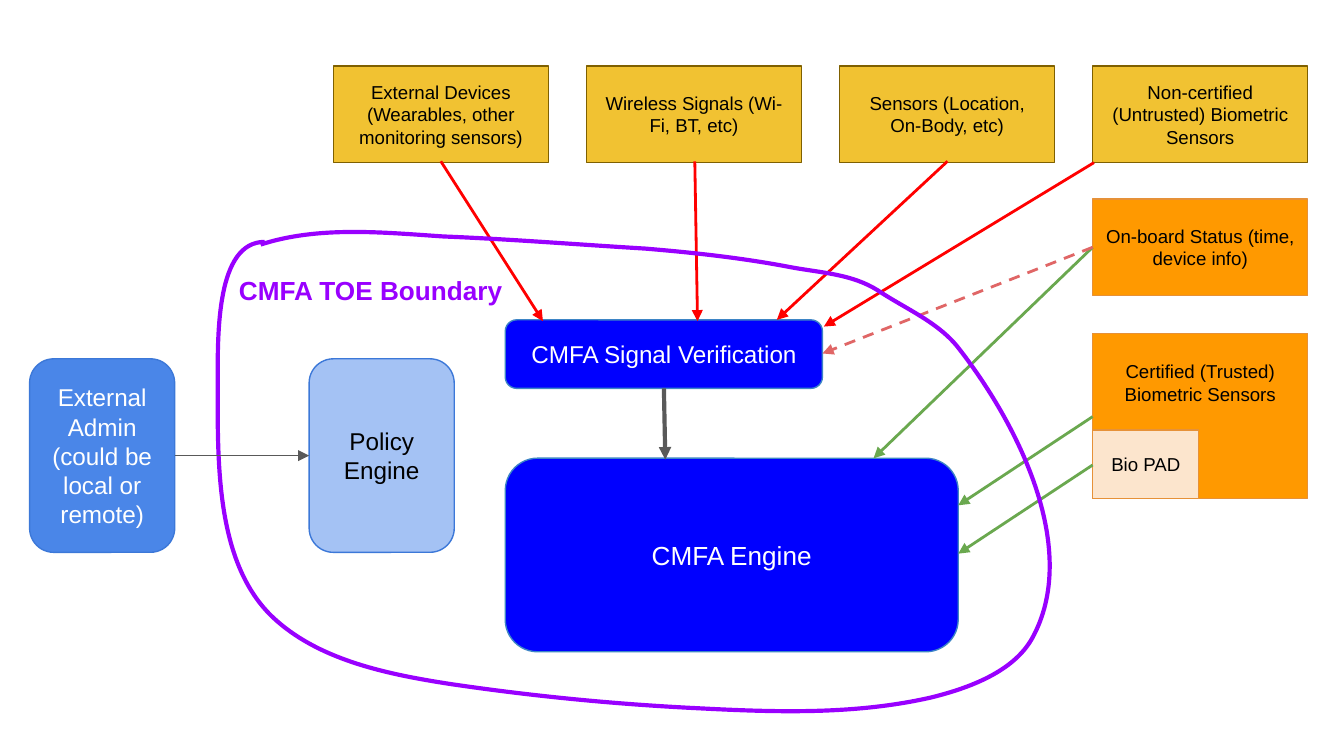
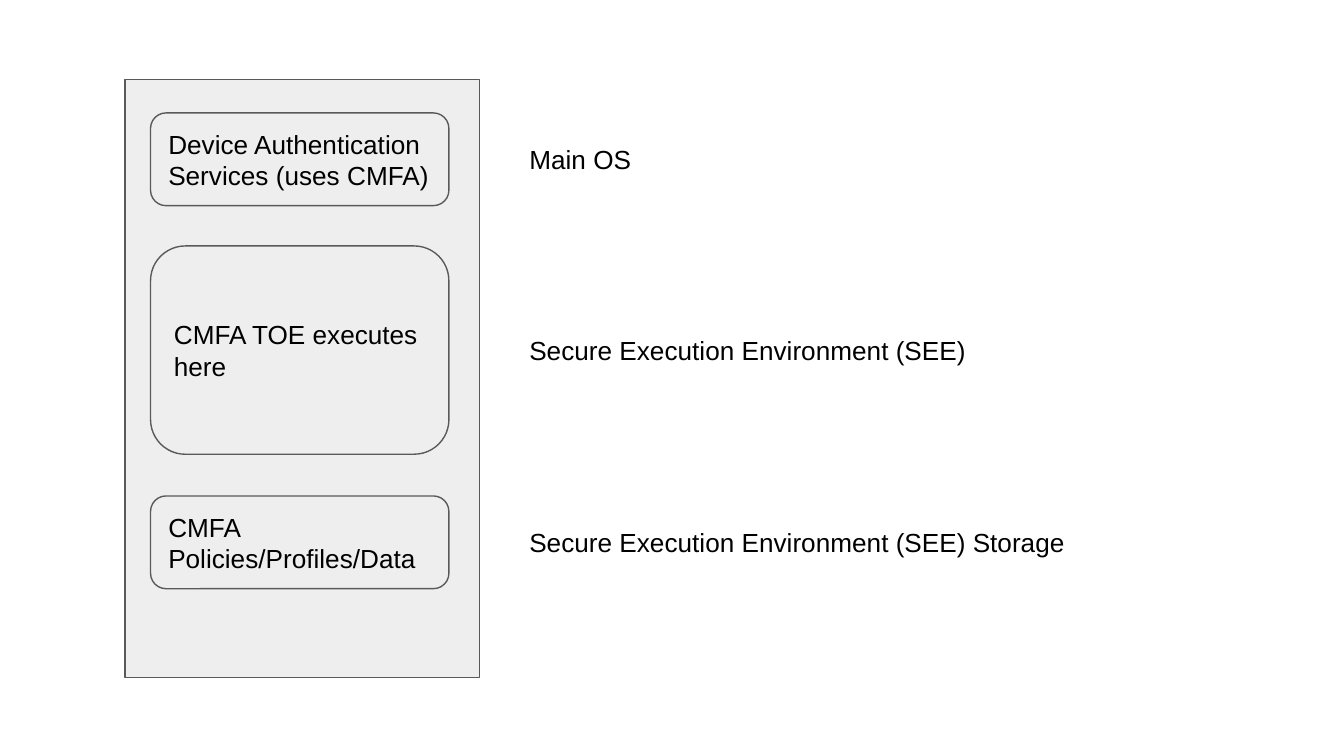
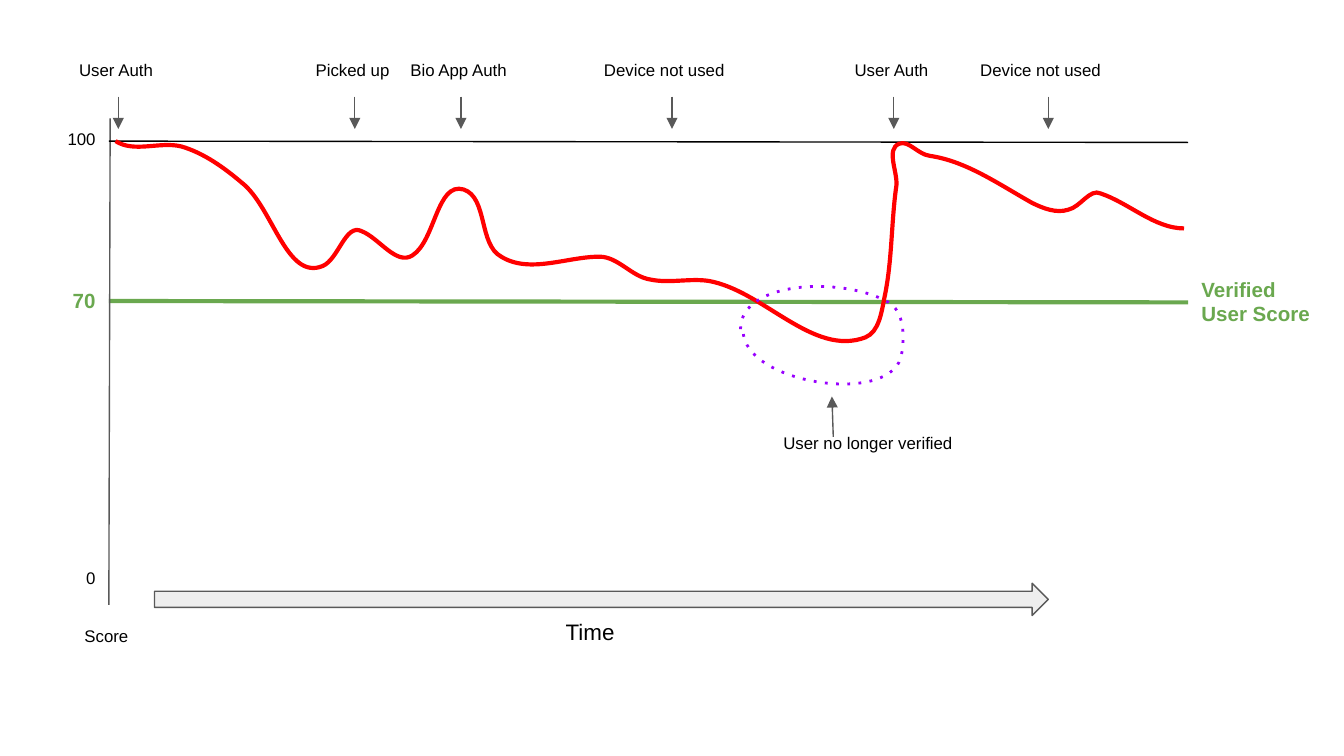
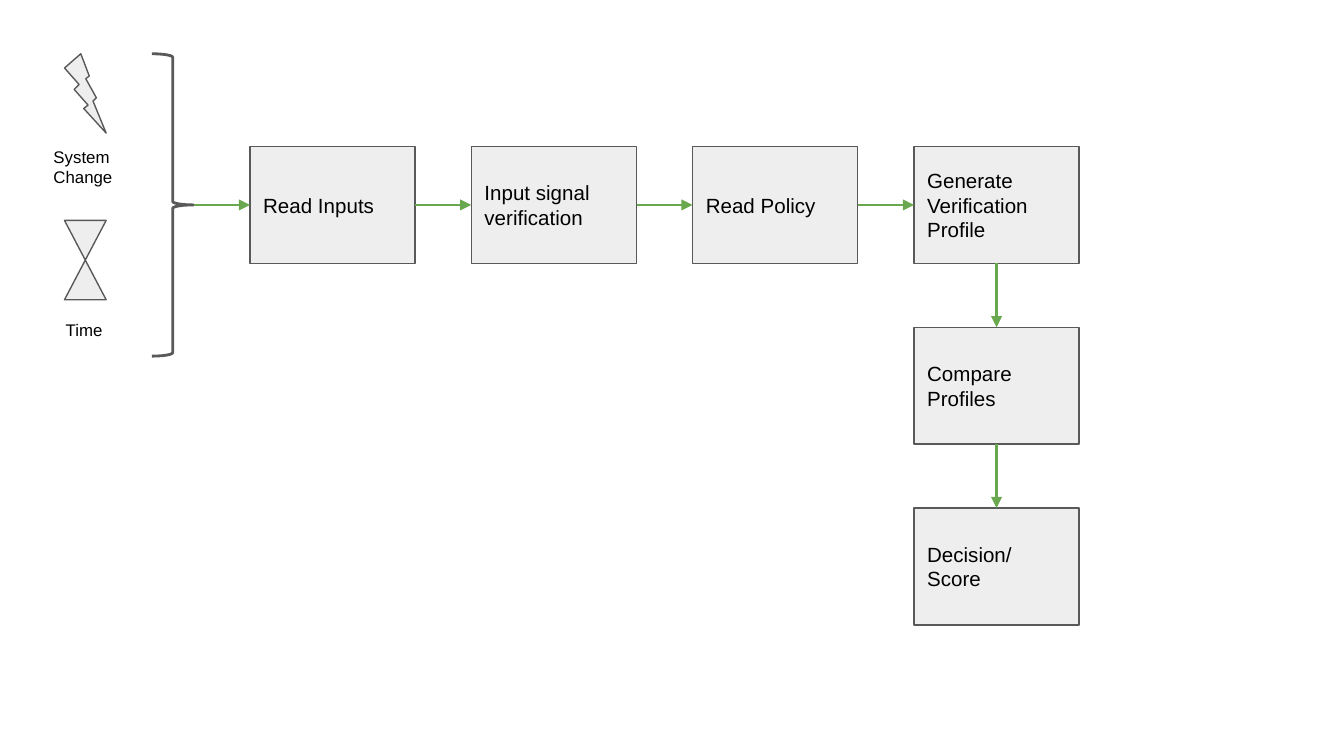
"""Build four slides on how the CMFA checks its user."""
from dataclasses import dataclass
from typing import Optional

from lxml.etree import SubElement
from pptx import Presentation
from pptx.dml.color import RGBColor
from pptx.enum.shapes import MSO_CONNECTOR, MSO_SHAPE
from pptx.enum.text import MSO_ANCHOR, MSO_AUTO_SIZE, PP_ALIGN
from pptx.oxml.ns import qn
from pptx.util import Inches, Pt


@dataclass(frozen=True)
class Theme:
    """Colours, type sizes and line widths."""

    font: str = "Arial"
    black: str = "000000"
    white: str = "FFFFFF"
    grey: str = "595959"
    pale: str = "EEEEEE"
    blue: str = "0000FF"
    rim: str = "3D85C6"
    sky: str = "A4C2F4"
    admin: str = "4A86E8"
    edge: str = "3C78D8"
    gold: str = "F1C232"
    brown: str = "7F6000"
    orange: str = "FF9900"
    rust: str = "E69138"
    peach: str = "FCE5CD"
    red: str = "FF0000"
    rose: str = "E06666"
    green: str = "6AA84F"
    purple: str = "9900FF"
    small: float = 9
    note: float = 10
    step: float = 11
    time: float = 12
    body: float = 13
    head: float = 14
    thin: float = 0.75
    mid: float = 1.5
    thick: float = 2.25
    inset: float = 0.1


T = Theme()
LEFT, MID, RIGHT = PP_ALIGN.LEFT, PP_ALIGN.CENTER, PP_ALIGN.RIGHT
RECT, ROUND = MSO_SHAPE.RECTANGLE, MSO_SHAPE.ROUNDED_RECTANGLE
Spot = tuple[float, float]


@dataclass(frozen=True)
class Frame:
    """A place in inches."""

    left: float
    top: float
    wide: float
    high: float

    def sides(self) -> list:
        """Give the four lengths that a shape takes."""
        return [Inches(n) for n in (self.left, self.top, self.wide, self.high)]


@dataclass(frozen=True)
class Type:
    """The look of a text."""

    size: float
    tint: str = T.black
    align: PP_ALIGN = LEFT
    bold: bool = False


@dataclass(frozen=True)
class Skin:
    """The fill and line of a shape."""

    fill: Optional[str] = T.pale
    line: str = T.grey
    width: float = T.thin
    dash: str = ""


@dataclass(frozen=True)
class Box:
    """A shape with text in it."""

    at: Frame
    text: str = ""
    type: Type = Type(T.head)
    skin: Skin = Skin()
    kind: MSO_SHAPE = RECT
    drop: Optional[float] = None


@dataclass(frozen=True)
class Link:
    """A straight line, with or without an arrow."""

    start: Spot
    end: Spot
    tint: str = T.grey
    width: float = T.thin
    dash: str = ""
    arrow: bool = True


@dataclass(frozen=True)
class Curve:
    """An open chain of cubic curves."""

    at: Frame
    start: Spot
    bends: tuple
    skin: Skin


def write(frame, text: str, look: Type) -> None:
    """Fill a text frame, one paragraph a line."""
    frame.word_wrap = True
    frame.margin_left = frame.margin_right = Inches(T.inset)
    frame.margin_top = frame.margin_bottom = Inches(T.inset)
    for i, words in enumerate(text.split("\n")):
        para = frame.add_paragraph() if i else frame.paragraphs[0]
        para.alignment = look.align
        run = para.add_run()
        run.text = words
        run.font.name = T.font
        run.font.size = Pt(look.size)
        run.font.bold = look.bold
        run.font.color.rgb = RGBColor.from_string(look.tint)


def stroke(line, tint: str, width: float, dash: str) -> None:
    """Set the colour, width and dash of a line."""
    line.color.rgb = RGBColor.from_string(tint)
    line.width = Pt(width)
    if dash:
        SubElement(line._get_or_add_ln(), qn("a:prstDash"), val=dash)


def paint(shape, skin: Skin) -> None:
    """Set the fill and line of a shape and drop its shadow."""
    shape.shadow.inherit = False
    if skin.fill:
        shape.fill.solid()
        shape.fill.fore_color.rgb = RGBColor.from_string(skin.fill)
    else:
        shape.fill.background()
    stroke(shape.line, skin.line, skin.width, skin.dash)


def block(slide, box: Box) -> None:
    """Draw a preset shape and its text."""
    shape = slide.shapes.add_shape(box.kind, *box.at.sides())
    paint(shape, box.skin)
    if box.text:
        frame = shape.text_frame
        write(frame, box.text, box.type)
        frame.vertical_anchor = MSO_ANCHOR.MIDDLE
        if box.drop is not None:
            frame.vertical_anchor = MSO_ANCHOR.TOP
            frame.margin_top = Inches(box.drop)


def label(slide, at: Frame, text: str, look: Type) -> None:
    """Draw a plain text box."""
    frame = slide.shapes.add_textbox(*at.sides()).text_frame
    write(frame, text, look)
    frame.auto_size = MSO_AUTO_SIZE.SHAPE_TO_FIT_TEXT


def join(slide, link: Link) -> None:
    """Draw a straight line."""
    ends = [Inches(n) for n in (*link.start, *link.end)]
    shape = slide.shapes.add_connector(MSO_CONNECTOR.STRAIGHT, *ends)
    stroke(shape.line, link.tint, link.width, link.dash)
    if link.arrow:
        SubElement(shape.line._get_or_add_ln(), qn("a:tailEnd"), type="triangle")
    SubElement(shape._element.spPr, qn("a:effectLst"))


def trace(slide, curve: Curve) -> None:
    """Draw a curved outline in a grid of hundredths of an inch."""
    at, unit = curve.at, 100
    left, top = round(at.left * unit), round(at.top * unit)
    far = (left + round(at.wide * unit), top + round(at.high * unit))
    pen = slide.shapes.build_freeform(left, top, scale=Inches(1) / unit)
    pen.add_line_segments([far], close=False)
    shape = pen.convert_to_shape()
    paint(shape, curve.skin)
    route = next(shape._element.iter(qn("a:path")))
    for part in list(route):
        route.remove(part)
    moves = [("a:moveTo", curve.start)]
    moves += [("a:cubicBezTo", bend) for bend in curve.bends]
    for tag, spots in moves:
        node = SubElement(route, qn(tag))
        for x, y in zip(spots[::2], spots[1::2]):
            SubElement(node, qn("a:pt"), x=str(round(x * unit) - left),
                       y=str(round(y * unit) - top))


def bounds(slide) -> None:
    """Draw the parts in and around the TOE boundary."""
    note = Type(T.note, align=MID)
    white = Type(T.body, T.white, MID)
    core = Skin(T.blue, T.rim)
    gold = Skin(T.gold, T.brown)
    orange = Skin(T.orange, T.rust)
    last, wide, high = 8.13, 1.6, 0.72
    first = 2.48
    pitch = (last - first) / 3
    inputs = ("External Devices (Wearables, other monitoring sensors)",
              "Wireless Signals (Wi-Fi, BT, etc)",
              "Sensors (Location, On-Body, etc)",
              "Non-certified (Untrusted) Biometric Sensors")
    boxes = [
        Box(Frame(3.76, 3.41, 3.37, 1.44), "CMFA Engine",
            Type(T.head, T.white, MID), core, ROUND),
        Box(Frame(3.76, 2.38, 2.36, 0.51), "CMFA Signal Verification",
            white, core, ROUND),
        Box(Frame(2.3, 2.67, 1.08, 1.44), "Policy Engine",
            Type(T.body, align=MID), Skin(T.sky, T.edge), ROUND),
        Box(Frame(0.22, 2.67, 1.08, 1.44),
            "External Admin (could be local or remote)",
            white, Skin(T.admin, T.edge), ROUND)]
    boxes += [Box(Frame(first + i * pitch, 0.49, wide, high), text, note, gold)
              for i, text in enumerate(inputs)]
    boxes += [
        Box(Frame(last, 2.48, wide, 1.23),
            "Certified (Trusted) Biometric Sensors", note, orange, drop=0.2),
        Box(Frame(last, 1.48, wide, high),
            "On-board Status (time, device info)", note, orange),
        Box(Frame(last, 3.2, 0.79, 0.51), "Bio PAD", note,
            Skin(T.peach, T.rust))]
    for box in boxes:
        block(slide, box)
    reds = (((3.28, 1.2), (4.04, 2.39)), ((5.17, 1.2), (5.19, 2.39)),
            ((7.05, 1.2), (5.78, 2.38)), ((8.14, 1.21), (6.13, 2.43)))
    greens = (((last, 1.84), (6.5, 3.41)), ((last, 3.1), (7.13, 3.76)),
              ((last, 3.46), (7.13, 4.12)))
    for tint, pairs in ((T.red, reds), (T.green, greens)):
        for start, end in pairs:
            join(slide, Link(start, end, tint, T.mid))
    join(slide, Link((last, 1.84), (6.12, 2.63), T.rose, T.mid, "dash"))
    trace(slide, Curve(Frame(1.62, 1.72, 6.2, 3.57), (1.94, 1.82), (
        (2.37, 1.68, 2.85, 1.73, 3.3, 1.76),
        (3.8, 1.78, 4.3, 1.82, 4.8, 1.85),
        (5.16, 1.88, 5.53, 1.92, 5.89, 1.99),
        (6.11, 2.03, 6.34, 2.04, 6.53, 2.16),
        (6.74, 2.3, 6.99, 2.4, 7.14, 2.6),
        (7.59, 3.18, 8.04, 4.1, 7.68, 4.75),
        (7.54, 5, 7.21, 5.12, 6.93, 5.19),
        (6.36, 5.32, 5.77, 5.3, 5.19, 5.27),
        (4.57, 5.24, 3.96, 5.18, 3.35, 5.09),
        (2.9, 5.02, 2.4, 4.92, 2.06, 4.62),
        (1.6, 4.22, 1.62, 3.45, 1.62, 2.84),
        (1.62, 2.48, 1.61, 1.8, 1.97, 1.8)),
        Skin(None, T.purple, T.thick)))
    join(slide, Link((4.94, 2.89), (4.95, 3.42), width=T.thick))
    join(slide, Link((1.3, 3.39), (2.3, 3.39)))
    label(slide, Frame(1.68, 1.94, 2.2, 0.44), "CMFA TOE Boundary",
          Type(T.head, T.purple, bold=True))


def layers(slide) -> None:
    """Draw the layers of the device with their names."""
    block(slide, Box(Frame(0.93, 0.59, 2.64, 4.45)))
    rows = (
        (0.84, 0.69, "Device Authentication Services (uses CMFA)", "Main OS"),
        (1.83, 1.55, "CMFA TOE executes here",
         "Secure Execution Environment (SEE)"),
        (3.69, 0.69, "CMFA Policies/Profiles/Data",
         "Secure Execution Environment (SEE) Storage"))
    tall = 0.44
    for top, high, text, name in rows:
        block(slide, Box(Frame(1.12, top, 2.22, high), text, kind=ROUND))
        label(slide, Frame(3.84, top + (high - tall) / 2, 4.6, tall), name,
              Type(T.head))


def score(slide) -> None:
    """Draw the user score over time."""
    small = Type(T.small)
    tick = Type(T.small, align=RIGHT)
    left, right, high = 0.81, 8.84, 0.35
    join(slide, Link((left, 2.24), (right, 2.25), T.green, T.thick, arrow=False))
    join(slide, Link((0.82, 0.88), (left, 4.5), arrow=False))
    label(slide, Frame(0.53, 4.58, 0.56, high), "Score", small)
    goal = Type(T.step, T.green, RIGHT, True)
    for top, tall, text, look in ((0.88, high, "100", tick),
                                  (4.15, high, "0", tick),
                                  (2.05, 0.39, "70", goal)):
        label(slide, Frame(0.25, top, 0.56, tall), text, look)
    label(slide, Frame(right, 1.96, 1.03, 0.57), "Verified User Score",
          Type(T.step, T.green, bold=True))
    join(slide, Link((left, 1.05), (right, 1.06), T.black, arrow=False))
    trace(slide, Curve(Frame(0.86, 1.05, 7.95, 1.48), (0.86, 1.05), (
        (1, 1.14, 1.19, 1.05, 1.35, 1.09),
        (1.52, 1.14, 1.67, 1.25, 1.8, 1.36),
        (2.03, 1.54, 2.13, 2.09, 2.4, 1.98),
        (2.52, 1.93, 2.57, 1.66, 2.69, 1.72),
        (2.82, 1.77, 2.95, 1.98, 3.07, 1.9),
        (3.24, 1.79, 3.25, 1.35, 3.45, 1.41),
        (3.63, 1.47, 3.56, 1.82, 3.73, 1.91),
        (3.94, 2.04, 4.22, 1.91, 4.46, 1.91),
        (4.6, 1.91, 4.7, 2.06, 4.84, 2.08),
        (4.98, 2.11, 5.13, 2.07, 5.27, 2.09),
        (5.68, 2.16, 6.05, 2.66, 6.44, 2.51),
        (6.54, 2.47, 6.56, 2.32, 6.58, 2.22),
        (6.64, 1.94, 6.63, 1.66, 6.67, 1.38),
        (6.68, 1.28, 6.59, 1.11, 6.69, 1.07),
        (6.76, 1.04, 6.83, 1.15, 6.92, 1.16),
        (7.19, 1.2, 7.43, 1.37, 7.68, 1.51),
        (7.76, 1.55, 7.86, 1.59, 7.95, 1.56),
        (8.04, 1.54, 8.11, 1.4, 8.19, 1.44),
        (8.4, 1.51, 8.59, 1.7, 8.81, 1.7)),
        Skin(None, T.red, T.thick)))
    events = ((0.88, 0.78, "User Auth"), (2.64, 0.78, "Picked up"),
              (3.43, 0.95, "Bio App Auth"), (5, 1.21, "Device not used"),
              (6.65, 0.78, "User Auth"), (7.8, 1.21, "Device not used"))
    for x, wide, text in events:
        label(slide, Frame(x - wide / 2, 0.37, wide, high), text, small)
        join(slide, Link((x, 0.72), (x, 0.96)))
    trace(slide, Curve(Frame(5.51, 2.13, 1.21, 0.73), (5.51, 2.45), (
        (5.51, 2.08, 6.29, 2.06, 6.61, 2.25),
        (6.73, 2.32, 6.73, 2.5, 6.71, 2.63),
        (6.66, 3.03, 5.53, 2.86, 5.53, 2.46)),
        Skin(None, T.purple, T.mid, "dot")))
    label(slide, Frame(5.73, 3.14, 1.89, high), "User no longer verified", small)
    join(slide, Link((6.2, 3.25), (6.19, 2.95)))
    label(slide, Frame(4.11, 4.5, 0.72, 0.4), "Time", Type(T.time))
    block(slide, Box(Frame(1.15, 4.34, 6.65, 0.24), kind=MSO_SHAPE.RIGHT_ARROW))


def flow(slide) -> None:
    """Draw the steps from a trigger to a score."""
    small, step = Type(T.small), Type(T.step)
    for top, kind in ((1.64, MSO_SHAPE.FLOWCHART_COLLATE),
                      (0.4, MSO_SHAPE.LIGHTNING_BOLT)):
        block(slide, Box(Frame(0.48, top, 0.31, 0.59), kind=kind))
    label(slide, Frame(0.39, 2.3, 0.49, 0.35), "Time", small)
    label(slide, Frame(0.3, 0.99, 0.67, 0.5), "System Change", small)
    block(slide, Box(Frame(1.13, 0.4, 0.31, 2.25), skin=Skin(None, width=T.mid),
                     kind=MSO_SHAPE.RIGHT_BRACE))
    left, top, wide, high = 1.86, 1.09, 1.23, 0.87
    across, down = (6.8 - left) / 3, (3.78 - top) / 2
    row = ("Read Inputs", "Input signal verification", "Read Policy",
           "Generate Verification Profile")
    stack = ("Compare Profiles", "Decision/\nScore")
    y = top + high / 2
    for i, text in enumerate(row):
        x = left + i * across
        block(slide, Box(Frame(x, top, wide, high), text, step))
        join(slide, Link((x - across + wide, y), (x, y), T.green, T.mid))
    mid = x + wide / 2
    for i, text in enumerate(stack, 1):
        y = top + i * down
        block(slide, Box(Frame(x, y, wide, high), text, step))
        join(slide, Link((mid, y - down + high), (mid, y), T.green, T.mid))


def main() -> None:
    """Build and save the deck."""
    deck = Presentation()
    deck.slide_width = Inches(10)
    deck.slide_height = Inches(10 * 9 / 16)
    blank = deck.slide_layouts[6]
    for draw in (bounds, layers, score, flow):
        draw(deck.slides.add_slide(blank))
    deck.save("out.pptx")


main()
